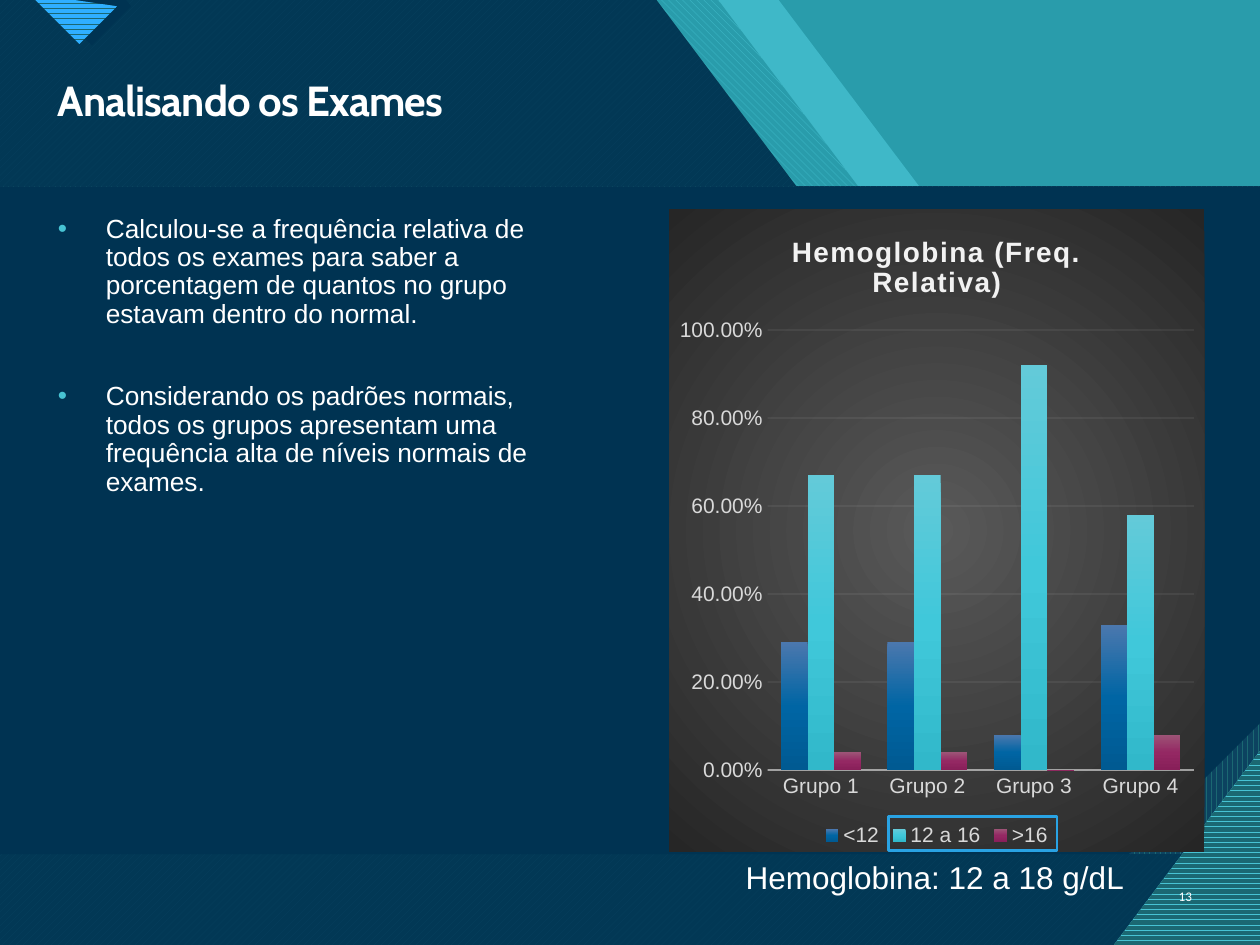
import dataclasses
import lxml.etree
import pptx
import pptx.util
import pptx.oxml
import pptx.oxml.ns
import pptx.chart.data
import pptx.dml.color
import pptx.enum.chart
import pptx.enum.dml
import pptx.enum.shapes
import pptx.enum.text

qn = pptx.oxml.ns.qn
Pt = pptx.util.Pt
PATTERN = pptx.enum.dml.MSO_PATTERN
ALIGN = pptx.enum.text.PP_ALIGN
ANCHOR = pptx.enum.text.MSO_ANCHOR
COLUMNS, ROWS = 100, 75
CELL = pptx.util.Inches(0.1)


@dataclasses.dataclass(frozen=True)
class Theme:
    navy: str = "003352"
    steel: str = "0C4360"
    deep: str = "1B6872"
    teal: str = "299CAB"
    aqua: str = "47C3D3"
    sky: str = "2FAFFF"
    frame: str = "29A3E4"
    white: str = "FFFFFF"
    pale: str = "F2F2F2"
    label: str = "D9D9D9"
    font: str = "Arial"
    title_font: str = "Cabin"
    number_font: str = "Calibri"
    title: float = 24
    body: float = 15
    caption: float = 18
    number: float = 7.5
    chart_title: float = 16
    chart_label: float = 12


THEME = Theme()


def rgb(value):
    return pptx.dml.color.RGBColor.from_string(value)


def cells(*values):
    return [round(value * CELL) for value in values]


def child(parent, tag, **attributes):
    element = lxml.etree.SubElement(parent, qn(tag))
    for name, value in attributes.items():
        element.set(name, str(value))
    return element


def set_alpha(fill_parent, percent):
    color = next(fill_parent.iter(qn("a:srgbClr")))
    child(color, "a:alpha", val=percent * 1000)


def paint(shape, color, pattern=None, back=None, alpha=None):
    shape.shadow.inherit = False
    shape.line.fill.background()
    if pattern:
        shape.fill.patterned()
        shape.fill.pattern = pattern
        shape.fill.fore_color.rgb = rgb(color)
        shape.fill.back_color.rgb = rgb(back)
    else:
        shape.fill.solid()
        shape.fill.fore_color.rgb = rgb(color)
    if alpha:
        set_alpha(shape._element.spPr, alpha)


def add_polygon(slide, points, color, **style):
    corners = [cells(*point) for point in points]
    builder = slide.shapes.build_freeform(*corners[0])
    builder.add_line_segments(corners[1:], close=True)
    paint(builder.convert_to_shape(), color, **style)


def add_backdrop(slide):
    theme = THEME
    bottom = [(COLUMNS, ROWS), (0, ROWS)]
    light = [(0, 0), (61.8, 0), (84.2, 29.7), (92.6, 29.7), (100, 39.6)] + bottom
    hatch = [(0, 0), (57, 0), (79.3, 29.7), (88.8, 29.7), (100, 44.7)] + bottom
    dark = [(0, 0), (52.1, 0), (74.4, 29.7), (83.9, 29.7), (100, 51.2)] + bottom
    band = [(0, 14.8), (100, 14.8), (100, 67.8), (0, 67.8)]
    panel = [(0, 14.8), (100, 14.8), (100, 57.4), (89.6, 67.8), (0, 67.8)]
    layers = [
        (light, theme.aqua, dict(alpha=74)),
        (hatch, theme.aqua, dict(pattern=PATTERN.WIDE_DOWNWARD_DIAGONAL, back=theme.teal)),
        (dark, theme.aqua, dict(pattern=PATTERN.WIDE_UPWARD_DIAGONAL, back=theme.deep)),
        (dark, theme.navy, dict(alpha=90)),
        ([(3.6, 0), (10, 0), (10.4, 0.5), (7.3, 3.6)], theme.navy, {}),
        ([(2.8, 0), (5.9, 0), (9.3, 0.5), (6.3, 3.5)], theme.sky,
         dict(pattern=PATTERN.DARK_HORIZONTAL, back=theme.deep)),
        (band, theme.steel, dict(pattern=PATTERN.DARK_VERTICAL, back=theme.deep)),
        (panel, theme.navy, {}),
        ([(88.4, 75), (100, 75), (100, 59.6)], theme.deep,
         dict(pattern=PATTERN.DARK_HORIZONTAL, back=theme.aqua)),
    ]
    slide.background.fill.solid()
    slide.background.fill.fore_color.rgb = rgb(theme.teal)
    for points, color, style in layers:
        add_polygon(slide, points, color, **style)


def style_font(font, size, color=THEME.white, name=THEME.font, bold=False):
    font.size = Pt(size)
    font.name = name
    font.bold = bold
    font.color.rgb = rgb(color)


def add_run(paragraph, text, size, **style):
    run = paragraph.add_run()
    run.text = text
    style_font(run.font, size, **style)
    return run


def place(slide, shape, box):
    shape.left, shape.top, shape.width, shape.height = cells(*box)
    slide.shapes._spTree.append(shape._element)


def fill_title(slide, text):
    title = slide.shapes.title
    place(slide, title, (3.6, 5.9, 92, 4.6))
    title.text_frame.vertical_anchor = ANCHOR.MIDDLE
    paragraph = title.text_frame.paragraphs[0]
    paragraph.alignment = ALIGN.LEFT
    paragraph.line_spacing = 0.9
    run = add_run(paragraph, text, THEME.title, name=THEME.title_font, bold=True)
    run._r.get_or_add_rPr().set("spc", "-50")


def fill_body(slide, items):
    body = slide.placeholders[1]
    place(slide, body, (3.6, 16.6, 42.5, 51))
    frame = body.text_frame
    for index, item in enumerate(items):
        paragraph = frame.add_paragraph() if index else frame.paragraphs[0]
        paragraph.line_spacing = 0.9
        paragraph.space_before = Pt(31 if index else 7.5)
        properties = paragraph._p.get_or_add_pPr()
        indent = cells(3.8)[0]
        properties.set("marL", str(indent))
        properties.set("indent", str(-indent))
        child(child(properties, "a:buClr"), "a:srgbClr", val=THEME.aqua)
        child(properties, "a:buFont", typeface=THEME.font)
        child(properties, "a:buChar", char="•")
        add_run(paragraph, item, THEME.body)


def add_label(slide, box, text, size, alignment=ALIGN.LEFT, **style):
    frame = slide.shapes.add_textbox(*cells(*box)).text_frame
    frame.word_wrap = False
    frame.vertical_anchor = ANCHOR.MIDDLE
    frame.paragraphs[0].alignment = alignment
    add_run(frame.paragraphs[0], text, size, **style)


def set_gradient(properties, stops, radial=False):
    gradient = lxml.etree.Element(qn("a:gradFill"))
    stop_list = child(gradient, "a:gsLst")
    for position, color in stops:
        child(child(stop_list, "a:gs", pos=position * 1000), "a:srgbClr", val=color)
    if radial:
        center = child(gradient, "a:path", path="circle")
        child(center, "a:fillToRect", l=50000, t=50000, r=50000, b=50000)
    else:
        child(gradient, "a:lin", ang=5400000, scaled=0)
    properties.insert(0, gradient)


def style_line(line, width, alpha):
    line.width = Pt(width)
    line.color.rgb = rgb(THEME.pale)
    set_alpha(line._get_or_add_ln(), alpha)


def style_axes(chart):
    for axis in (chart.category_axis, chart.value_axis):
        axis.major_tick_mark = axis.minor_tick_mark = pptx.enum.chart.XL_TICK_MARK.NONE
        style_font(axis.tick_labels.font, THEME.chart_label, THEME.label)
    style_line(chart.category_axis.format.line, 1, 54)
    value_axis = chart.value_axis
    value_axis.minimum_scale, value_axis.maximum_scale, value_axis.major_unit = 0, 1, 0.2
    value_axis.tick_labels.number_format = "0.00%"
    value_axis.tick_labels.number_format_is_linked = False
    value_axis.format.line.fill.background()
    style_line(value_axis.major_gridlines.format.line, 0.75, 10)


def add_column_chart(slide, box, title, categories, series_rows):
    data = pptx.chart.data.CategoryChartData(number_format="0.00%")
    data.categories = categories
    for name, values, _ in series_rows:
        data.add_series(name, values)
    chart = slide.shapes.add_chart(
        pptx.enum.chart.XL_CHART_TYPE.COLUMN_CLUSTERED, *cells(*box), data).chart
    style_font(chart.font, THEME.chart_label, THEME.label)
    area = lxml.etree.Element(qn("c:spPr"))
    set_gradient(area, [(0, "595959"), (100, "262626")], radial=True)
    child(child(area, "a:ln"), "a:noFill")
    chart._chartSpace.find(qn("c:txPr")).addprevious(area)
    chart.has_title = True
    run = add_run(chart.chart_title.text_frame.paragraphs[0], title,
                  THEME.chart_title, color=THEME.pale, bold=True)
    run._r.get_or_add_rPr().set("spc", "100")
    chart.chart_title.include_in_layout = False
    chart.has_legend = True
    chart.legend.position = pptx.enum.chart.XL_LEGEND_POSITION.BOTTOM
    chart.legend.include_in_layout = False
    style_font(chart.legend.font, THEME.chart_label, THEME.label)
    style_axes(chart)
    plot = chart.plots[0]
    plot.gap_width, plot.overlap, plot.vary_by_categories = 100, 0, False
    for series, (_, _, colors) in zip(plot.series, series_rows):
        series.invert_if_negative = False
        series.format.line.fill.background()
        set_gradient(series._element.get_or_add_spPr(), zip((0, 50, 100), colors))


def add_frame(slide, box):
    frame = slide.shapes.add_shape(pptx.enum.shapes.MSO_SHAPE.RECTANGLE, *cells(*box))
    frame.shadow.inherit = False
    frame.fill.background()
    frame.line.color.rgb = rgb(THEME.frame)
    frame.line.width = Pt(1.5)


def main():
    presentation = pptx.Presentation()
    presentation.slide_width, presentation.slide_height = cells(COLUMNS, ROWS)
    slide = presentation.slides.add_slide(presentation.slide_layouts[1])
    add_backdrop(slide)
    fill_title(slide, "Analisando os Exames")
    add_label(slide, (92.3, 69.1, 3.3, 4), "13", THEME.number, ALIGN.RIGHT,
              name=THEME.number_font)
    fill_body(slide, [
        "Calculou-se a frequência relativa de todos os exames para saber a "
        "porcentagem de quantos no grupo estavam dentro do normal.",
        "Considerando os padrões normais, todos os grupos apresentam uma "
        "frequência alta de níveis normais de exames."])
    add_column_chart(
        slide, (53.1, 16.6, 42.5, 51), "Hemoglobina (Freq. Relativa)",
        [f"Grupo {number}" for number in range(1, 5)],
        [("<12", (0.29, 0.29, 0.08, 0.33), ("4B78AE", "0065A4", "005A92")),
         ("12 a 16", (0.67, 0.67, 0.92, 0.58), ("63CAD9", "40C8DA", "31B8CA")),
         (">16", (0.04, 0.04, 0, 0.08), ("9D5477", "942863", "881F59"))])
    add_label(slide, (58.2, 67.6, 32.3, 4), "Hemoglobina: 12 a 18 g/dL", THEME.caption)
    add_frame(slide, (70.5, 64.8, 13.4, 2.7))
    presentation.save("out.pptx")


main()
